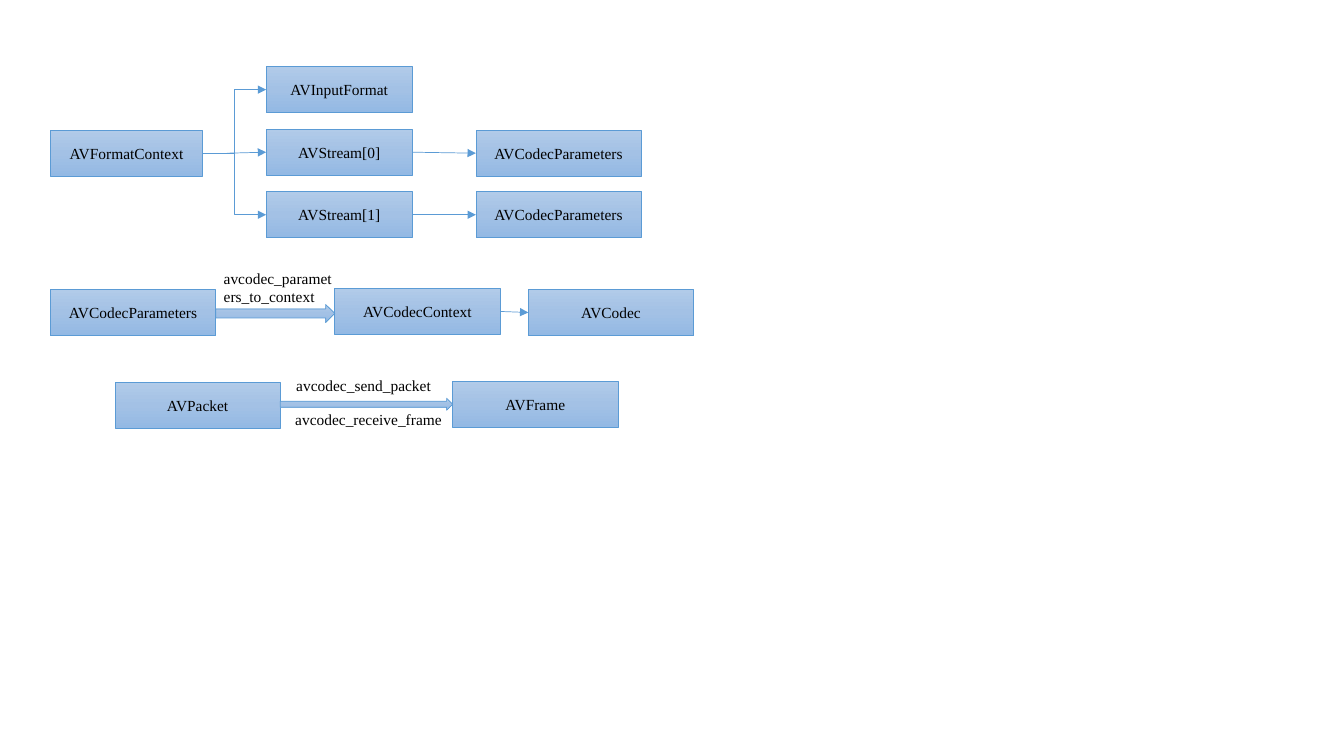
"""Build a slide of the FFmpeg data structures and the calls that link them."""
import copy

import pptx
import pptx.util
import pptx.dml.color
import pptx.enum.shapes
import pptx.enum.text
import pptx.oxml
import pptx.oxml.ns

Inches, Pt = pptx.util.Inches, pptx.util.Pt
RGB = pptx.dml.color.RGBColor.from_string
SHAPE = pptx.enum.shapes.MSO_SHAPE
CONNECTOR = pptx.enum.shapes.MSO_CONNECTOR
qn = pptx.oxml.ns.qn
COLORS = {"top": "B1CBE9", "middle": "A3C1E5", "bottom": "93B9E4", "line": "5B9BD5", "text": "000000"}
BOX_HEIGHT = 0.46

prs = pptx.Presentation()
prs.slide_width, prs.slide_height = Inches(13.33), Inches(7.5)
s = prs.slides.add_slide(prs.slide_layouts[6])


def add_gradient_shape(kind, left, top, width, height):
    sp = s.shapes.add_shape(kind, Inches(left), Inches(top), Inches(width), Inches(height))
    sp.shadow.inherit = False
    sp.fill.gradient()
    sp.fill.gradient_angle = 270
    stops = sp._element.spPr.find(".//" + qn("a:gsLst"))
    stops.insert(1, copy.deepcopy(stops[0]))
    stops[1].set("pos", "50000")
    for stop, name in zip(sp.fill.gradient_stops, ("top", "middle", "bottom")):
        stop.color.rgb = RGB(COLORS[name])
    sp.line.color.rgb = RGB(COLORS["line"])
    sp.line.width = Pt(0.5)
    return sp


def write(tf, text):
    tf.word_wrap = True
    tf.text = text
    r = tf.paragraphs[0].runs[0]
    r.font.size = Pt(11)
    r.font.name = "Times New Roman"
    r.font.color.rgb = RGB(COLORS["text"])


boxes = {}
for key, text, left, top, width in [
    ("format", "AVFormatContext", 0.5, 1.29, 1.51),
    ("input", "AVInputFormat", 2.64, 0.66, 1.45),
    ("stream 0", "AVStream[0]", 2.64, 1.28, 1.45),
    ("stream 1", "AVStream[1]", 2.64, 1.9, 1.45),
    ("parameters 0", "AVCodecParameters", 4.72, 1.29, 1.64),
    ("parameters 1", "AVCodecParameters", 4.72, 1.9, 1.64),
    ("parameters", "AVCodecParameters", 0.5, 2.87, 1.64),
    ("context", "AVCodecContext", 3.32, 2.86, 1.64),
    ("codec", "AVCodec", 5.24, 2.87, 1.64),
    ("packet", "AVPacket", 1.14, 3.79, 1.64),
    ("frame", "AVFrame", 4.49, 3.78, 1.64),
]:
    sp = add_gradient_shape(SHAPE.RECTANGLE, left, top, width, BOX_HEIGHT)
    write(sp.text_frame, text)
    sp.text_frame.vertical_anchor = pptx.enum.text.MSO_ANCHOR.MIDDLE
    sp.text_frame.paragraphs[0].alignment = pptx.enum.text.PP_ALIGN.CENTER
    boxes[key] = sp

for kind, start, end in [
    (CONNECTOR.ELBOW, "format", "input"),
    (CONNECTOR.ELBOW, "format", "stream 1"),
    (CONNECTOR.STRAIGHT, None, "stream 0"),
    (CONNECTOR.STRAIGHT, "stream 0", "parameters 0"),
    (CONNECTOR.STRAIGHT, "stream 1", "parameters 1"),
    (CONNECTOR.STRAIGHT, "context", "codec"),
]:
    line = s.shapes.add_connector(kind, Inches(2.25), Inches(1.52), Inches(2.64), Inches(1.52))
    if start:
        line.begin_connect(boxes[start], 3)
    line.end_connect(boxes[end], 1)
    line.line.color.rgb = RGB(COLORS["line"])
    line.line.width = Pt(0.5)
    pptx.oxml.ns
    tail = line.line._get_or_add_ln().makeelement(qn("a:tailEnd"), {"type": "triangle"})
    line.line._get_or_add_ln().append(tail)
    spPr = line._element.spPr
    spPr.append(spPr.makeelement(qn("a:effectLst"), {}))

for left, top, width, height in [(2.14, 3.02, 1.18, 0.18), (2.78, 3.95, 1.71, 0.12)]:
    add_gradient_shape(SHAPE.RIGHT_ARROW, left, top, width, height)

for text, left, top, width, height in [
    ("avcodec_parameters_to_context", 2.12, 2.62, 1.29, 0.47),
    ("avcodec_send_packet", 2.84, 3.68, 1.57, 0.29),
    ("avcodec_receive_frame", 2.83, 4.02, 1.66, 0.29),
]:
    label = s.shapes.add_textbox(Inches(left), Inches(top), Inches(width), Inches(height))
    write(label.text_frame, text)
    label.text_frame.auto_size = pptx.enum.text.MSO_AUTO_SIZE.SHAPE_TO_FIT_TEXT

prs.save("out.pptx")
